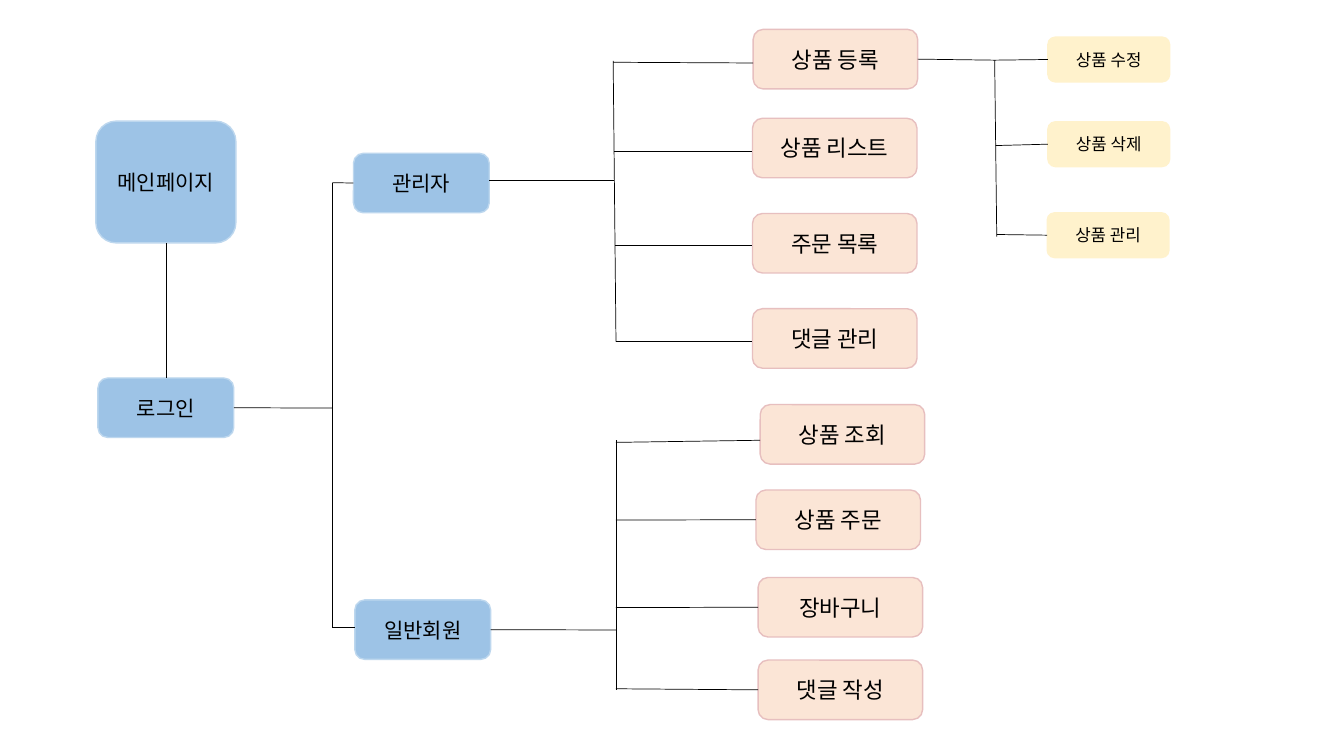
from dataclasses import dataclass
from lxml import etree
from pptx import Presentation
from pptx.dml.color import RGBColor
from pptx.enum.shapes import MSO_CONNECTOR, MSO_SHAPE
from pptx.enum.text import MSO_ANCHOR, PP_ALIGN
from pptx.oxml.ns import qn
from pptx.util import Pt

ROUNDED = MSO_SHAPE.ROUNDED_RECTANGLE
STRAIGHT = MSO_CONNECTOR.STRAIGHT
MIDDLE, CENTER = MSO_ANCHOR.MIDDLE, PP_ALIGN.CENTER
TOP, LEFT, BOTTOM, RIGHT = range(4)

# Content: kind of box -> (label, left, top)
BOXES = {
    "home": [("메인페이지", 68.5, 86.5)],
    "role": [("로그인", 70, 270), ("관리자", 252.5, 109.5), ("일반회원", 253.5, 428.5)],
    "page": [
        ("상품 등록", 538, 21), ("상품 리스트", 537.5, 84.5),
        ("주문 목록", 537.5, 152.5), ("댓글 관리", 537.5, 220.5),
        ("상품 조회", 543, 289), ("상품 주문", 540, 350),
        ("장바구니", 541.5, 412.5), ("댓글 작성", 541.5, 471.5),
    ],
    "action": [("상품 수정", 748.5, 26.5), ("상품 삭제", 748.5, 87), ("상품 관리", 748, 152)],
}

# Branches: parent, height of its line, trunk ends, (child, start y, end y)
BRANCHES = [
    ("로그인", 291.5, (237.5, 130.5), (237.5, 448),
     [("관리자", 130.5, 130.5), ("일반회원", 448, 448)]),
    ("관리자", 129, (438, 43.5), (440, 244),
     [("상품 등록", 44.5, 45), ("상품 리스트", 108, 108),
      ("주문 목록", 175.5, 175.5), ("댓글 관리", 244, 244)]),
    ("일반회원", 450, (440, 314.5), (440, 493),
     [("상품 조회", 316, 314.5), ("상품 주문", 371.5, 371.5),
      ("장바구니", 434, 434), ("댓글 작성", 492, 492)]),
    ("상품 등록", 43, (710.5, 43), (712, 169),
     [("상품 수정", 43, 43), ("상품 삭제", 104, 104.5), ("상품 관리", 167.5, 167.5)]),
]


@dataclass(frozen=True)
class Theme:
    font: str = "Noto Sans CJK KR"
    ink: str = "000000"
    line_width: float = 0.5
    border_width: float = 1


THEME = Theme()
# Kind of box -> width, height, type size, fill, border
STYLES = {
    "home": (100, 87, 15, "9DC3E6", "BDD7EE"),
    "role": (97, 42.5, 15, "9DC3E6", "BDD7EE"),
    "page": (117.5, 42.5, 16, "FBE5D6", "E7BFBF"),
    "action": (87, 32, 12, "FFF2CC", "FFF2CC"),
}
JOIN_TOLERANCE = 1.5


def color(value):
    return RGBColor.from_string(value)


def add_box(s, label, left, top, style):
    width, height, size, fill, border = style
    sp = s.shapes.add_shape(ROUNDED, Pt(left), Pt(top), Pt(width), Pt(height))
    sp.shadow.inherit = False
    sp.fill.solid()
    sp.fill.fore_color.rgb = color(fill)
    sp.line.color.rgb = color(border)
    sp.line.width = Pt(THEME.border_width)
    tf = sp.text_frame
    tf.text = label
    tf.vertical_anchor = MIDDLE
    p = tf.paragraphs[0]
    p.alignment = CENTER
    r = p.runs[0]
    r.font.size = Pt(size)
    r.font.name = THEME.font
    r.font.color.rgb = color(THEME.ink)
    fonts = r.font._element
    etree.SubElement(fonts, qn("a:ea")).set("typeface", THEME.font)
    return sp


def add_line(s, start, end):
    line = s.shapes.add_connector(STRAIGHT, *(Pt(v) for v in (*start, *end)))
    line.line.color.rgb = color(THEME.ink)
    line.line.width = Pt(THEME.line_width)
    etree.SubElement(line._element.spPr, qn("a:effectLst"))
    return line


def at_middle(box, y):
    return abs((box.top + box.height / 2) / Pt(1) - y) <= JOIN_TOLERANCE


def trunk_x(top, bottom, y):
    share = (y - top[1]) / (bottom[1] - top[1])
    return top[0] + share * (bottom[0] - top[0])


def main():
    prs = Presentation()
    prs.slide_width, prs.slide_height = Pt(960), Pt(540)
    s = prs.slides.add_slide(prs.slide_layouts[6])

    # Boxes
    boxes = {}
    for kind, items in BOXES.items():
        for label, left, top in items:
            boxes[label] = add_box(s, label, left, top, STYLES[kind])

    # Main page down to login
    line = add_line(s, (118, 173.5), (118, 270))
    line.begin_connect(boxes["메인페이지"], BOTTOM)
    line.end_connect(boxes["로그인"], TOP)

    # Branches: line from the parent, trunk, line to each child
    for parent, y, top, bottom, children in BRANCHES:
        box = boxes[parent]
        right = (box.left + box.width) / Pt(1)
        line = add_line(s, (right, y), (trunk_x(top, bottom, y), y))
        if at_middle(box, y):
            line.begin_connect(box, RIGHT)
        add_line(s, top, bottom)
        for child, start_y, end_y in children:
            box = boxes[child]
            start = (trunk_x(top, bottom, start_y), start_y)
            line = add_line(s, start, (box.left / Pt(1), end_y))
            if at_middle(box, end_y):
                line.end_connect(box, LEFT)

    prs.save("out.pptx")


if __name__ == "__main__":
    main()
